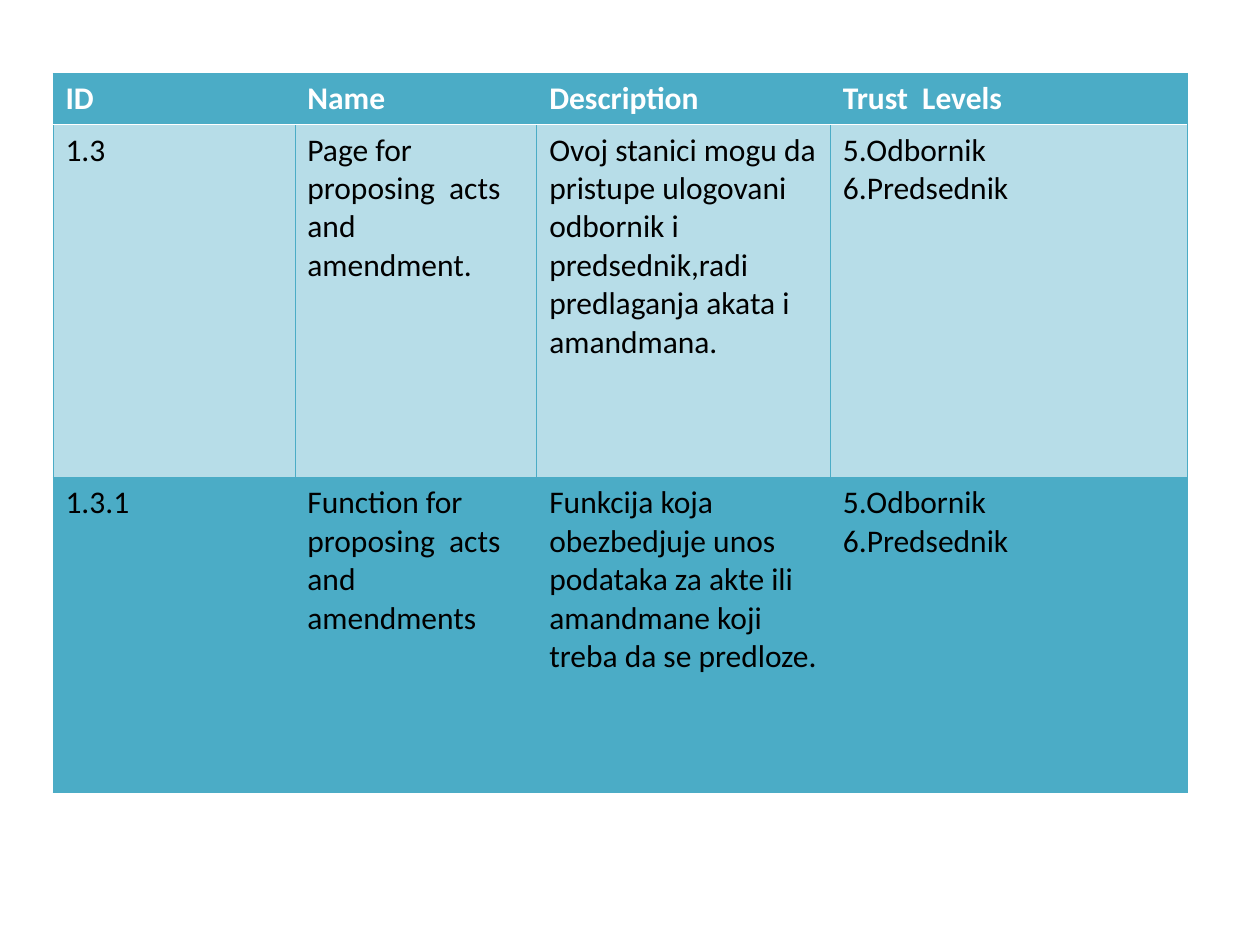
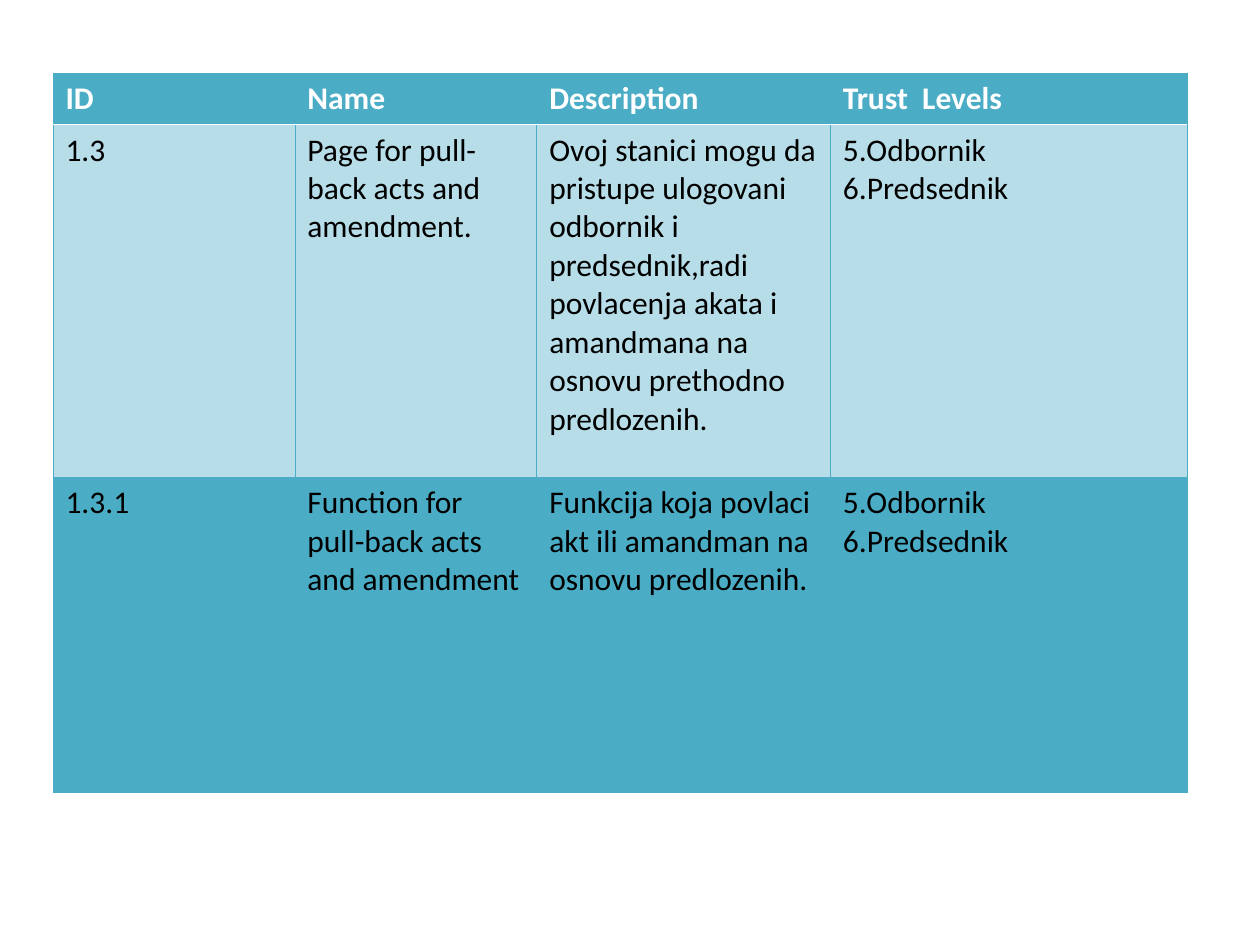
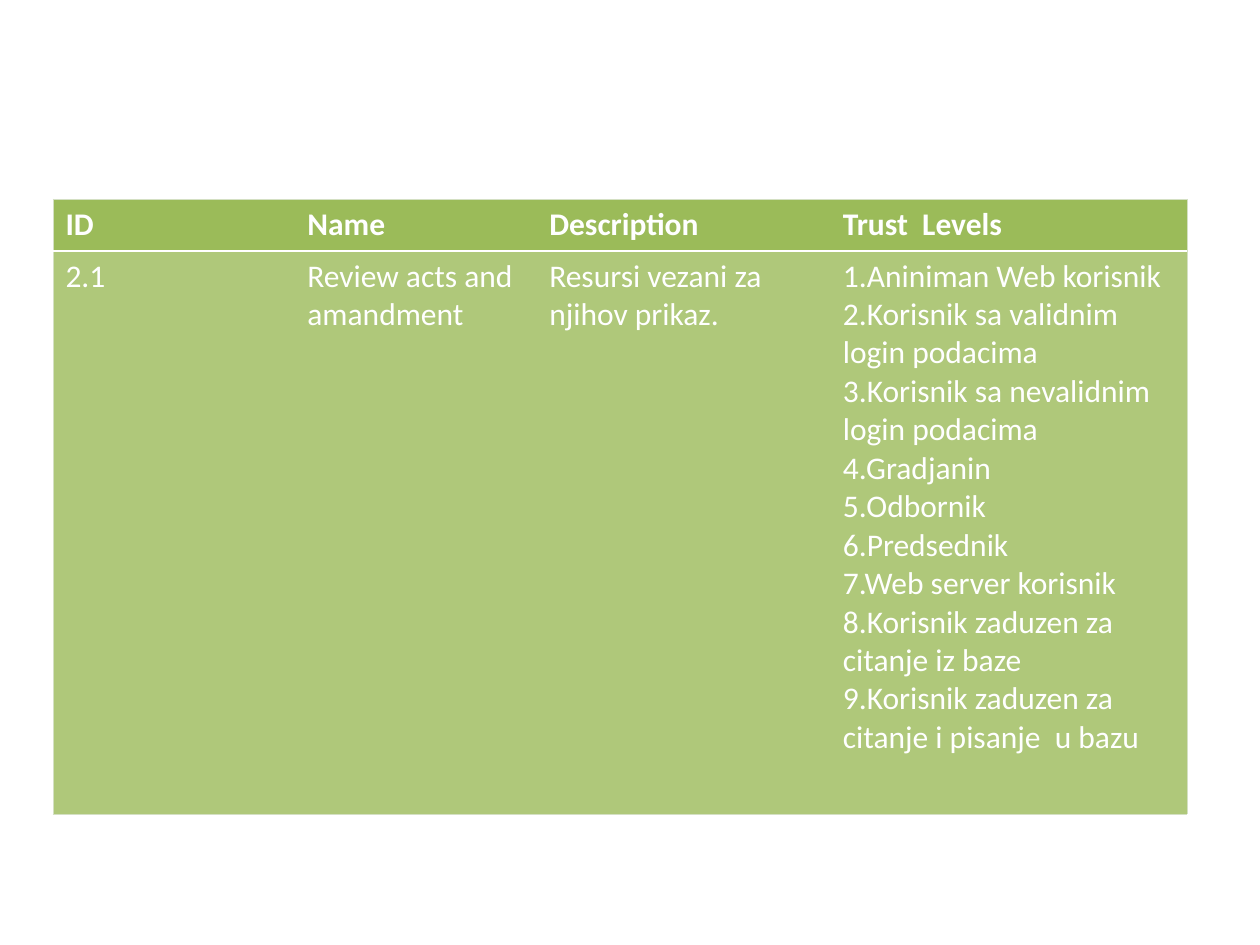
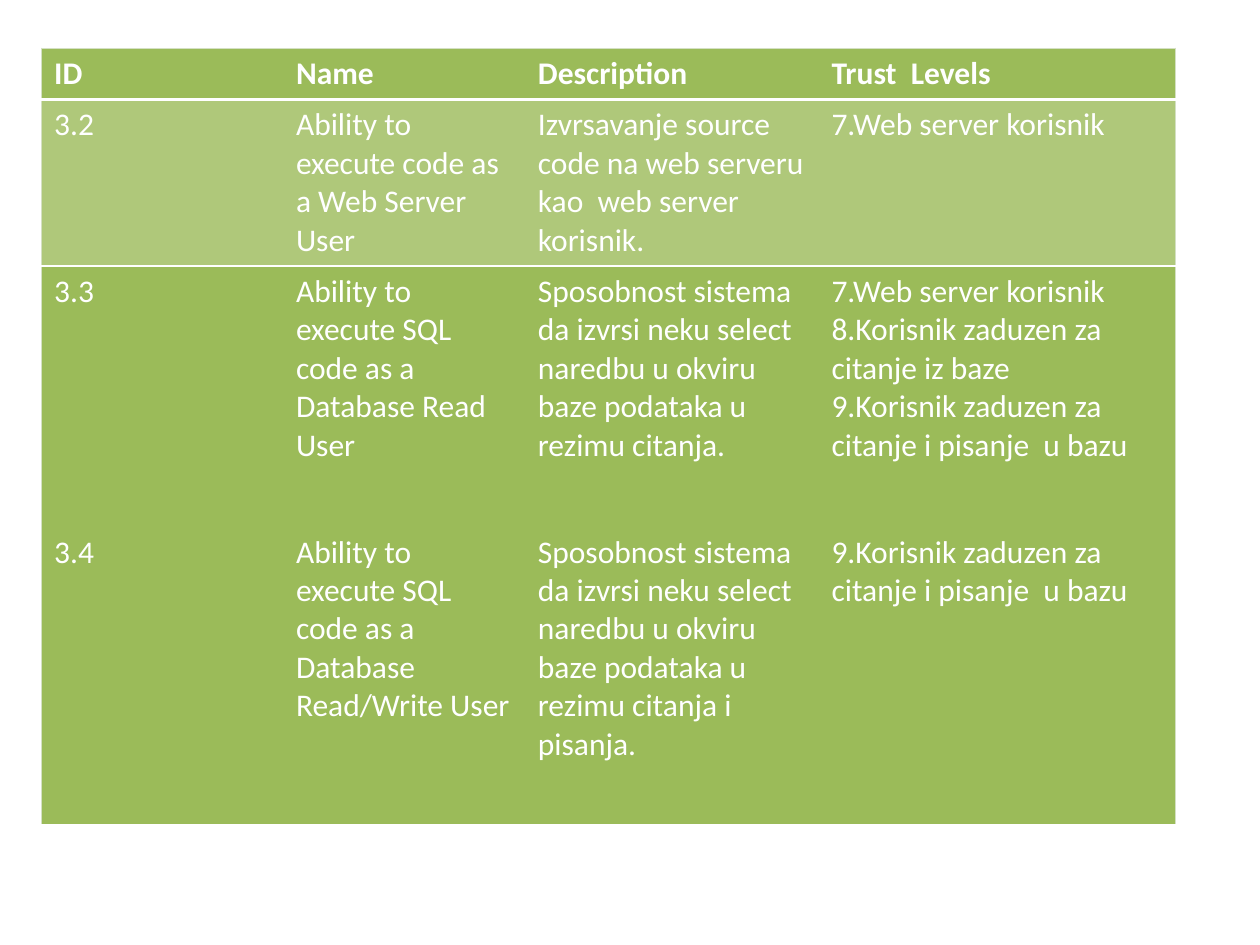
import pptx
import pptx.dml.color
import pptx.oxml
import pptx.oxml.ns
import pptx.util
from dataclasses import dataclass

Inches = pptx.util.Inches
Pt = pptx.util.Pt

COLOURS = {
    "white": "FFFFFF",
    "black": "000000",
    "blue": "4BACC6",
    "pale blue": "B7DDE8",
    "green": "9BBB59",
    "light green": "AFC87A",
    "green edge": "D4E0C3",
}
FONT = "Calibri"
FONT_SIZE = 18
EDGE_WIDTH = 0.34
NO_GRID_STYLE = "{2D5ABB26-0587-4C30-8999-92F81FD0307C}"

HEADINGS = ("ID", "Name", "Description", "Trust  Levels")
COLUMN_WIDTHS = (1.92, 1.92, 2.33, 2.83)
HEADER_HEIGHT = 0.41

COUNCILLOR = "5.Odbornik"
PRESIDENT = "6.Predsednik"
WEB_SERVER = "7.Web server korisnik"
READER = "8.Korisnik zaduzen za citanje iz baze"
WRITER = "9.Korisnik zaduzen za citanje i pisanje  u bazu"
MEMBERS = f"{COUNCILLOR}\n{PRESIDENT}"
ALL_LEVELS = "\n".join((
    "1.Aniniman Web korisnik",
    "2.Korisnik sa validnim login podacima",
    "3.Korisnik sa nevalidnim login podacima",
    "4.Gradjanin",
    COUNCILLOR, PRESIDENT, WEB_SERVER, READER, WRITER,
))


@dataclass
class Theme:
    strong: str
    light: str
    edge: str
    body_text: str
    rule_width: float
    inner_grid: bool


BLUE = Theme("blue", "pale blue", "blue", "black", 0.96, True)
GREEN = Theme("green", "light green", "green edge", "white", 1.47, False)

PAGES = (
    {
        "theme": BLUE, "at": (0.42, 0.58), "heights": (2.8, 2.5), "closed": True,
        "rows": (
            ("1.3", "Page for proposing  acts and amendment.",
             "Ovoj stanici mogu da pristupe ulogovani  odbornik i predsednik,radi "
             "predlaganja akata i amandmana.", MEMBERS),
            ("1.3.1", "Function for proposing  acts and amendments",
             "Funkcija koja obezbedjuje unos podataka za akte ili amandmane koji "
             "treba da se predloze.", MEMBERS),
        ),
    },
    {
        "theme": BLUE, "at": (0.42, 0.58), "heights": (2.8, 2.5), "closed": True,
        "rows": (
            ("1.3", "Page for pull-back acts and amendment.",
             "Ovoj stanici mogu da pristupe ulogovani  odbornik i predsednik,radi "
             "povlacenja akata i amandmana na osnovu prethodno predlozenih.", MEMBERS),
            ("1.3.1", "Function for pull-back acts and amendment",
             "Funkcija koja povlaci akt ili amandman na osnovu predlozenih.", MEMBERS),
        ),
    },
    {
        "theme": GREEN, "at": (0.42, 1.58), "heights": (4.47,), "closed": True,
        "rows": (
            ("2.1", "Review acts and amandment",
             "Resursi vezani za njihov prikaz.", ALL_LEVELS),
        ),
    },
    {
        "theme": GREEN, "at": (0.33, 0.38), "heights": (1.3, 2.07, 2.36), "closed": False,
        "rows": (
            ("3.2", "Ability to execute code as a Web Server User",
             "Izvrsavanje source code na web serveru kao  web server korisnik.",
             WEB_SERVER),
            ("3.3", "Ability to execute SQL code as a Database Read User",
             "Sposobnost sistema da izvrsi neku select naredbu u okviru baze "
             "podataka u rezimu citanja.", f"{WEB_SERVER}\n{READER}\n{WRITER}"),
            ("3.4", "Ability to execute SQL code as a Database Read/Write User",
             "Sposobnost sistema da izvrsi neku select naredbu u okviru baze "
             "podataka u rezimu citanja i pisanja.", WRITER),
        ),
    },
)


def rgb(name):
    return pptx.dml.color.RGBColor.from_string(COLOURS[name])


def add_border(cell, side, colour, width):
    """Draw one side (L, R, T or B); sides must be added in that order, before the fill."""
    cell_properties = cell._tc.get_or_add_tcPr()
    cell_properties.append(pptx.oxml.parse_xml(
        f'<a:ln{side} {pptx.oxml.ns.nsdecls("a")} w="{int(Pt(width))}">'
        f'<a:solidFill><a:srgbClr val="{COLOURS[colour]}"/></a:solidFill>'
        f'</a:ln{side}>'))


def add_cell_borders(cell, theme, row, column, last_row, closed):
    edge = (theme.edge, EDGE_WIDTH)
    rule = ("white", theme.rule_width)
    grid = theme.inner_grid
    if grid or column == 0:
        add_border(cell, "L", *edge)
    if grid or column == len(HEADINGS) - 1:
        add_border(cell, "R", *edge)
    if row == 1:
        add_border(cell, "T", *rule)
    elif grid or row == 0:
        add_border(cell, "T", *edge)
    if row == 0:
        add_border(cell, "B", *rule)
    elif grid or (closed and row == last_row):
        add_border(cell, "B", *edge)


def write_cell(cell, text, colour, bold):
    cell.text_frame.text = text
    for para in cell.text_frame.paragraphs:
        for span in para.runs:
            span.font.name = FONT
            span.font.size = Pt(FONT_SIZE)
            span.font.bold = bold
            span.font.color.rgb = rgb(colour)


def add_trust_table(page, theme, at, heights, rows, closed):
    """Place the table at its left-top corner; closed draws its bottom edge."""
    all_rows = (HEADINGS, *rows)
    row_heights = (HEADER_HEIGHT, *heights)
    left, top = at
    frame = page.shapes.add_table(
        len(all_rows), len(HEADINGS), Inches(left), Inches(top),
        Inches(sum(COLUMN_WIDTHS)), Inches(sum(row_heights)))
    table = frame.table
    table.horz_banding = False
    table._tbl.tblPr.find(pptx.oxml.ns.qn("a:tableStyleId")).text = NO_GRID_STYLE

    for column, width in zip(table.columns, COLUMN_WIDTHS):
        column.width = Inches(width)
    for row, height in zip(table.rows, row_heights):
        row.height = Inches(height)

    for row, texts in enumerate(all_rows):
        is_header = row == 0
        for column, text in enumerate(texts):
            cell = table.cell(row, column)
            write_cell(cell, text, "white" if is_header else theme.body_text, is_header)
            add_cell_borders(cell, theme, row, column, len(rows), closed)
            cell.fill.solid()
            cell.fill.fore_color.rgb = rgb(theme.light if row == 1 else theme.strong)


def main():
    deck = pptx.Presentation()
    deck.slide_width = Inches(10)
    deck.slide_height = Inches(7.5)
    blank_layout = deck.slide_layouts[6]
    for content in PAGES:
        add_trust_table(deck.slides.add_slide(blank_layout), **content)
    deck.save("out.pptx")


if __name__ == "__main__":
    main()
